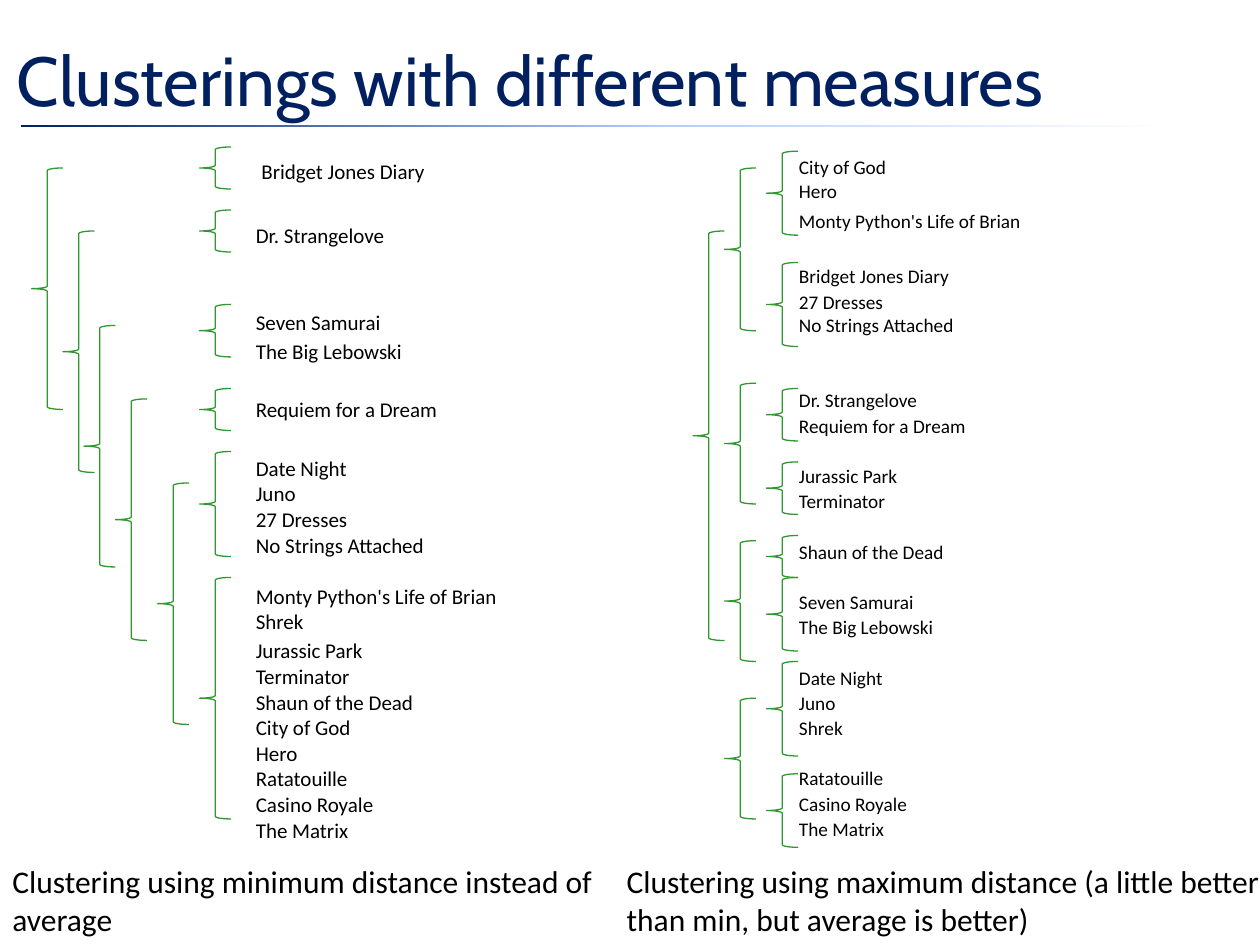
from copy import deepcopy
from dataclasses import dataclass
from typing import NamedTuple

from lxml import etree
from pptx import Presentation
from pptx.dml.color import RGBColor
from pptx.enum.shapes import MSO_SHAPE
from pptx.enum.text import MSO_ANCHOR, PP_ALIGN
from pptx.oxml.ns import qn
from pptx.util import Emu, Pt

RECTANGLE, LEFT_BRACE = MSO_SHAPE.RECTANGLE, MSO_SHAPE.LEFT_BRACE
MIDDLE, LEFT = MSO_ANCHOR.MIDDLE, PP_ALIGN.LEFT
TITLE_ONLY = 5
EMU_PER_PX = 7620  # 120 px to the inch
BRACE_WIDTH = 30


@dataclass(frozen=True)
class Theme:
    navy: RGBColor = RGBColor(0x00, 0x20, 0x60)
    pale_blue: RGBColor = RGBColor(0xB4, 0xCD, 0xFF)
    white: RGBColor = RGBColor(0xFF, 0xFF, 0xFF)
    black: RGBColor = RGBColor(0x00, 0x00, 0x00)
    green: RGBColor = RGBColor(0x2F, 0x98, 0x2F)
    heading_font: str = "Cabin"
    body_font: str = "Calibri"
    title_size: float = 39.6
    caption_size: float = 18
    brace_line: float = 0.75


class Box(NamedTuple):
    left: int
    top: int
    width: int
    height: int


class Row(NamedTuple):
    height: int
    films: str = ""  # one film a line


class Braces(NamedTuple):
    left: int
    spans: list[tuple[int, int]]  # top, height


@dataclass(frozen=True)
class Clustering:
    table: Box
    rows: list[Row]
    text_size: float
    inset: float  # points
    braces: list[Braces]
    caption: str
    caption_box: Box


THEME = Theme()


def px(length: int) -> Emu:
    return Emu(length * EMU_PER_PX)


def place(box: Box) -> list[Emu]:
    return [px(length) for length in box]


def single_rows(height: int, *films: str) -> list[Row]:
    return [Row(height, film) for film in films]


MINIMUM = Clustering(
    table=Box(242, 149, 298, 648),
    rows=[
        Row(31, "Bridget Jones Diary"),
        Row(31),
        *single_rows(27, "Dr. Strangelove", "", "", "Seven Samurai", "The Big Lebowski",
                     "", "Requiem for a Dream", ""),
        Row(174, "Date Night\vJuno\v27 Dresses\vNo Strings Attached\v\v"
                 "Monty Python's Life of Brian\vShrek"),
        Row(198, "Jurassic Park\vTerminator\vShaun of the Dead\vCity of God\vHero\v"
                 "Ratatouille\vCasino Royale\vThe Matrix"),
    ],
    text_size=12,
    inset=1,
    braces=[
        Braces(190, [(140, 40), (200, 40), (290, 50), (370, 40), (430, 100), (550, 230)]),
        Braces(150, [(460, 230)]),
        Braces(110, [(380, 230)]),
        Braces(80, [(310, 230)]),
        Braces(60, [(220, 230)]),
        Braces(30, [(160, 230)]),
    ],
    caption="Clustering using minimum distance instead of average",
    caption_box=Box(0, 815, 582, 85),
)

MAXIMUM = Clustering(
    table=Box(760, 148, 350, 658),
    rows=[
        Row(46, "City of God\vHero"),
        Row(34, "Monty Python's Life of Brian"),
        *single_rows(24, "", "Bridget Jones Diary"),
        Row(46, "27 Dresses\vNo Strings Attached"),
        *single_rows(24, "", "", "Dr. Strangelove", "Requiem for a Dream", "",
                     "Jurassic Park", "Terminator", "", "Shaun of the Dead", "",
                     "Seven Samurai", "The Big Lebowski", "", "Date Night", "Juno",
                     "Shrek", "", "Ratatouille", "Casino Royale", "The Matrix"),
    ],
    text_size=11,
    inset=0.55,
    braces=[
        Braces(730, [(144, 80), (250, 80), (370, 50), (440, 50), (510, 40),
                     (550, 70), (630, 90), (737, 70)]),
        Braces(690, [(160, 155), (365, 115), (515, 115), (665, 115)]),
        Braces(660, [(220, 390)]),
    ],
    caption="Clustering using maximum distance (a little better than min, "
            "but average is better)",
    caption_box=Box(585, 815, 637, 85),
)


def format_text(frame, size: float, font: str, color: RGBColor) -> None:
    points = str(round(size * 100))
    for paragraph in frame.paragraphs:
        paragraph.alignment = LEFT
        for run in paragraph.runs:
            run.font.size, run.font.name = Pt(size), font
            run.font.color.rgb = color
        # Blank lines and empty cells take the same size
        for line_break in paragraph._p.findall(qn("a:br")):
            etree.SubElement(line_break, qn("a:rPr"), sz=points)
        etree.SubElement(paragraph._p, qn("a:endParaRPr"), sz=points)


def draw_title(slide, text: str) -> None:
    title = slide.shapes.title
    title.left, title.top, title.width, title.height = place(Box(4, 0, 1140, 150))
    title.text_frame.text = text
    title.text_frame.vertical_anchor = MIDDLE
    format_text(title.text_frame, THEME.title_size, THEME.heading_font, THEME.navy)


def draw_rule(slide) -> None:
    rule = slide.shapes.add_shape(RECTANGLE, *place(Box(20, 119, 1180, 2)))
    rule.shadow.inherit = False
    rule.line.fill.background()
    rule.fill.gradient()
    rule.fill.gradient_angle = 0
    stop_list = rule._element.spPr.find(".//" + qn("a:gsLst"))
    stop_list.append(deepcopy(stop_list[0]))
    colors = [(0, THEME.navy), (0.52, THEME.pale_blue), (0.93, THEME.white)]
    for stop, (position, color) in zip(rule.fill.gradient_stops, colors):
        stop.position = position
        stop.color.rgb = color


def draw_films(slide, clustering: Clustering) -> None:
    rows = clustering.rows
    films = slide.shapes.add_table(len(rows), 1, *place(clustering.table)).table
    films.first_row = films.horz_banding = False
    for index, row in enumerate(rows):
        films.rows[index].height = px(row.height)
        cell = films.cell(index, 0)
        cell.fill.background()
        cell.vertical_anchor = MIDDLE
        cell.margin_left = cell.margin_right = Pt(clustering.inset)
        cell.margin_top = cell.margin_bottom = Pt(clustering.inset)
        cell.text_frame.text = row.films
        format_text(cell.text_frame, clustering.text_size, THEME.body_font, THEME.black)
    if clustering is MINIMUM:  # its first cell has wider margins
        first = films.cell(0, 0)
        first.margin_left = first.margin_right = px(7)
        first.margin_top = first.margin_bottom = px(3)


def draw_braces(slide, column: Braces) -> None:
    for top, height in column.spans:
        box = Box(column.left, top, BRACE_WIDTH, height)
        brace = slide.shapes.add_shape(LEFT_BRACE, *place(box))
        brace.shadow.inherit = False
        brace.fill.background()
        brace.line.color.rgb = THEME.green
        brace.line.width = Pt(THEME.brace_line)


def draw_clustering(slide, clustering: Clustering) -> None:
    draw_films(slide, clustering)
    for column in clustering.braces:
        draw_braces(slide, column)
    caption = slide.shapes.add_textbox(*place(clustering.caption_box)).text_frame
    caption.word_wrap = True
    caption.text = clustering.caption
    format_text(caption, THEME.caption_size, THEME.body_font, THEME.black)


def main() -> None:
    deck = Presentation()
    deck.slide_width, deck.slide_height = px(1200), px(900)
    slide = deck.slides.add_slide(deck.slide_layouts[TITLE_ONLY])

    # Heading
    draw_rule(slide)
    draw_title(slide, "Clusterings with different measures")

    # Dendrograms side by side
    for clustering in (MINIMUM, MAXIMUM):
        draw_clustering(slide, clustering)

    deck.save("out.pptx")


if __name__ == "__main__":
    main()
